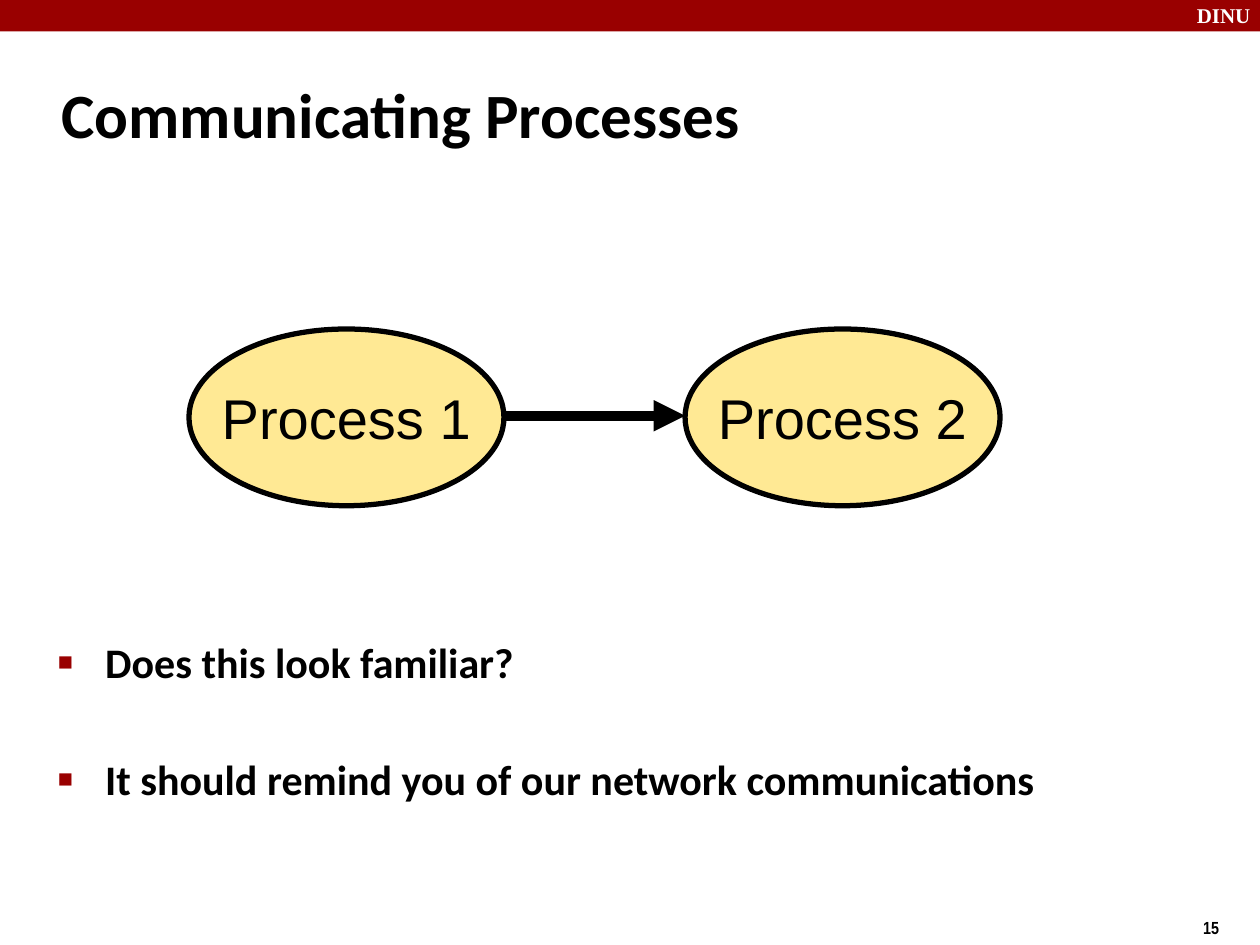
import dataclasses
import pptx
import pptx.util
import pptx.dml.color
import pptx.enum.shapes
import pptx.enum.text
import pptx.oxml
import pptx.oxml.ns

Pt = pptx.util.Pt
Align = pptx.enum.text.PP_ALIGN
Anchor = pptx.enum.text.MSO_ANCHOR


@dataclasses.dataclass(frozen=True)
class Theme:
    red: str = "990000"
    sand: str = "FFE994"
    black: str = "000000"
    white: str = "FFFFFF"
    head: tuple = ("Calibri", 36, True)
    body: tuple = ("Calibri", 24, True)
    node: tuple = ("Arial", 32, False)
    mark: tuple = ("Times New Roman", 12, True)
    page: tuple = ("Arial Narrow", 10, True)


def paint(target, color):
    target.solid()
    target.fore_color.rgb = pptx.dml.color.RGBColor.from_string(color)


def add_xml(parent, tag, inner="", **attrs):
    pairs = " ".join(f'{key}="{val}"' for key, val in attrs.items())
    space = pptx.oxml.ns.nsdecls("a")
    parent.append(pptx.oxml.parse_xml(f"<a:{tag} {space} {pairs}>{inner}</a:{tag}>"))


class Deck:
    def __init__(self, theme, wide, high):
        self.theme = theme
        self.show = pptx.Presentation()
        self.show.slide_width, self.show.slide_height = Pt(wide), Pt(high)
        self.slide = self.show.slides.add_slide(self.show.slide_layouts[5])

    def style(self, para, text, look, color, align=Align.LEFT):
        para.text = text
        para.alignment = align
        font = para.font
        font.name, font.bold = look[0], look[2]
        font.size = Pt(look[1])
        font.color.rgb = pptx.dml.color.RGBColor.from_string(color)

    def title(self, text, *box):
        shape = self.slide.shapes.title
        shape.left, shape.top, shape.width, shape.height = map(Pt, box)
        shape.text_frame.vertical_anchor = Anchor.MIDDLE
        self.style(shape.text_frame.paragraphs[0], text, self.theme.head, self.theme.black)

    def shape(self, kind, fill, *box):
        shape = self.slide.shapes.add_shape(kind, *map(Pt, box))
        shape.shadow.inherit = False
        paint(shape.fill, fill)
        shape.line.fill.background()
        return shape

    def band(self, *box):
        self.shape(pptx.enum.shapes.MSO_SHAPE.RECTANGLE, self.theme.red, *box)

    def node(self, text, *box):
        shape = self.shape(pptx.enum.shapes.MSO_SHAPE.OVAL, self.theme.sand, *box)
        paint(shape.line.fill, self.theme.black)
        shape.line.width = Pt(3)
        frame = shape.text_frame
        frame.word_wrap = False
        frame.vertical_anchor = Anchor.MIDDLE
        self.style(frame.paragraphs[0], text, self.theme.node, self.theme.black, Align.CENTER)
        return shape

    def arrow(self, *ends):
        line = self.slide.shapes.add_connector(
            pptx.enum.shapes.MSO_CONNECTOR.STRAIGHT, *map(Pt, ends))
        paint(line.line.fill, self.theme.black)
        line.line.width = Pt(6)
        add_xml(line.line._get_or_add_ln(), "tailEnd", type="triangle")
        add_xml(line._element.spPr, "effectLst")

    def frame(self, *box):
        frame = self.slide.shapes.add_textbox(*map(Pt, box)).text_frame
        frame.word_wrap = True
        return frame

    def label(self, text, look, color, *box):
        self.style(self.frame(*box).paragraphs[0], text, look, color)

    def bullets(self, items, *box):
        """Each item is a pair of its text and the space before it."""
        frame = self.frame(*box)
        for num, (text, gap) in enumerate(items):
            para = frame.add_paragraph() if num else frame.paragraphs[0]
            self.style(para, text, self.theme.body, self.theme.black)
            para.space_before = Pt(gap)
            props = para._p.get_or_add_pPr()
            props.set("marL", str(Pt(27)))
            props.set("indent", str(-Pt(27)))
            # The schema wants bullet marks before the default run style.
            font = props.find(pptx.oxml.ns.qn("a:defRPr"))
            props.remove(font)
            add_xml(props, "buClr", f'<a:srgbClr val="{self.theme.red}"/>')
            add_xml(props, "buSzPct", val=60000)
            add_xml(props, "buFont", typeface="Arial")
            add_xml(props, "buChar", char="■")
            props.append(font)


def main():
    theme = Theme()
    deck = Deck(theme, 720, 540)
    deck.band(0, 0, 720, 18)
    deck.label("DINU", theme.mark, theme.white, 676.8, -2.2, 48.2, 21.6)
    deck.label("15", theme.page, theme.black, 680.4, 520.6, 54, 20.9)
    deck.title("Communicating Processes", 28, 34.5, 598, 60)

    left, top, wide, high, step = 108, 188, 180, 101, 283.5
    for num in range(2):
        deck.node(f"Process {num + 1}", left + num * step, top, wide, high)
    mid = 237.6
    deck.arrow(left + wide, mid, left + step, mid)

    deck.bullets([
        ("Does this look familiar?", 4.8),
        ("It should remind you of our network communications", 38.4),
    ], 26, 360, 646, 203)
    deck.show.save("out.pptx")


if __name__ == "__main__":
    main()
